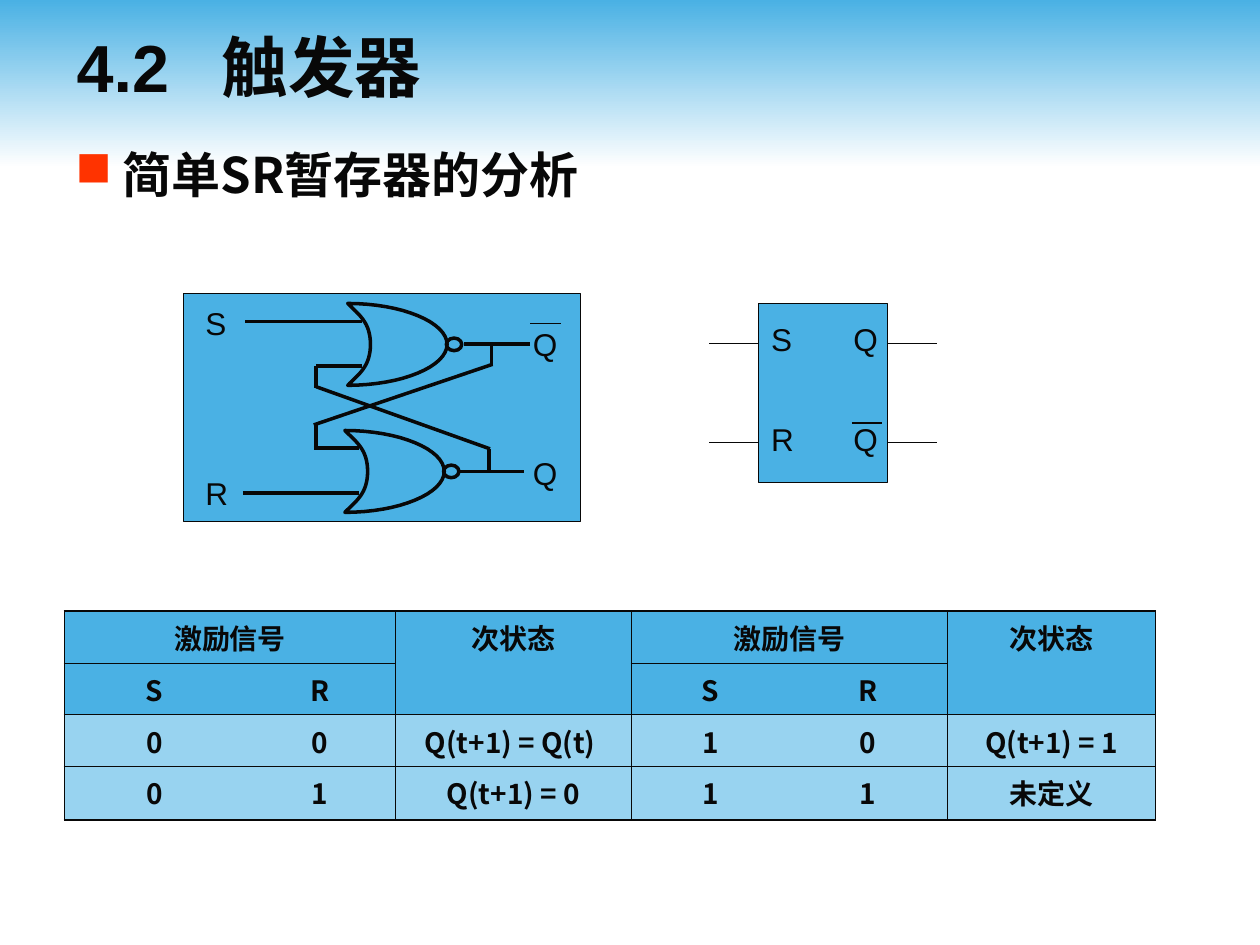
import dataclasses

import pptx
import pptx.dml.color
import pptx.enum.shapes
import pptx.enum.text
import pptx.oxml
import pptx.oxml.ns
import pptx.util
from lxml import etree

Pt = pptx.util.Pt
qn = pptx.oxml.ns.qn
ALIGN = pptx.enum.text.PP_ALIGN
ANCHOR = pptx.enum.text.MSO_ANCHOR
SHAPE = pptx.enum.shapes.MSO_SHAPE
STRAIGHT = pptx.enum.shapes.MSO_CONNECTOR.STRAIGHT


@dataclasses.dataclass(frozen=True)
class Theme:
    ink: str = "080808"
    blue: str = "4AB1E4"
    pale: str = "98D3F0"
    white: str = "FFFFFF"
    bullet: str = "FF3300"
    latin: str = "Arial"
    body_font: str = "Noto Sans CJK JP"
    table_font: str = "Noto Sans CJK SC"
    title_size: float = 38
    body_size: float = 28
    label_size: float = 18
    table_size: float = 16
    thin: float = 0.75
    thick: float = 2
    outer_border: float = 1.08
    inner_border: float = 0.45


def rgb(value):
    return pptx.dml.color.RGBColor.from_string(value)


def write(para, text, *, font, size, color, east_asian=None, bold=False, align=None,
          before=0, spacing=None, bullet=None, indent=0, tab=None):
    """Put one formatted span of text into a paragraph."""
    props = para._p.get_or_add_pPr()
    para.alignment = align
    para.space_before = Pt(before)
    if spacing:
        para.line_spacing = spacing
    if bullet:
        props.set("marL", str(Pt(indent)))
        props.set("indent", str(-Pt(indent)))
        bullet_color = etree.SubElement(props, qn("a:buClr"))
        etree.SubElement(bullet_color, qn("a:srgbClr"), val=bullet)
        etree.SubElement(props, qn("a:buChar"), char="■")
    if tab:
        stops = etree.SubElement(props, qn("a:tabLst"))
        etree.SubElement(stops, qn("a:tab"), pos=str(Pt(tab)), algn="l")
    span = para.add_run()
    span.text = text
    span.font.size, span.font.bold, span.font.name = Pt(size), bold, font
    span.font.color.rgb = rgb(color)
    etree.SubElement(span._r.get_or_add_rPr(), qn("a:ea"), typeface=east_asian or font)


def bezier(start, first, second, end, steps=16):
    """Points along a cubic curve, without its start."""
    for step in range(1, steps + 1):
        t = step / steps
        u = 1 - t
        yield tuple(u**3 * a + 3 * u * u * t * b + 3 * u * t * t * c + t**3 * d
                    for a, b, c, d in zip(start, first, second, end))


class Painter:
    def __init__(self, page, theme):
        self.page, self.theme = page, theme

    def shape(self, kind, left, top, width, height, fill=None, line=None):
        box = self.page.shapes.add_shape(kind, Pt(left), Pt(top), Pt(width), Pt(height))
        return self.finish(box, fill, line)

    def finish(self, box, fill, line):
        box.shadow.inherit = False
        if fill:
            box.fill.solid()
            box.fill.fore_color.rgb = rgb(fill)
        else:
            box.fill.background()
        if line:
            box.line.color.rgb = rgb(self.theme.ink)
            box.line.width = Pt(line)
        else:
            box.line.fill.background()
        return box

    def gradient_band(self, left, top, width, height):
        band = self.shape(SHAPE.RECTANGLE, left, top, width, height, self.theme.blue)
        band.fill.gradient()
        band.fill.gradient_angle = 270
        for stop, color, place in zip(band.fill.gradient_stops,
                                      (self.theme.blue, self.theme.white), (0, 1)):
            stop.color.rgb, stop.position = rgb(color), place

    def line(self, x1, y1, x2, y2, width):
        wire = self.page.shapes.add_connector(STRAIGHT, Pt(x1), Pt(y1), Pt(x2), Pt(y2))
        wire.line.color.rgb = rgb(self.theme.ink)
        wire.line.width = Pt(width)
        etree.SubElement(wire._element.spPr, qn("a:effectLst"))

    def text(self, left, top, width, height, lines, *, margins=(7.2, 3.6),
             anchor=ANCHOR.TOP, gap=0, wrap=True, **style):
        box = self.page.shapes.add_textbox(Pt(left), Pt(top), Pt(width), Pt(height))
        frame = box.text_frame
        frame.word_wrap, frame.vertical_anchor = wrap, anchor
        frame.margin_left = frame.margin_right = Pt(margins[0])
        frame.margin_top = frame.margin_bottom = Pt(margins[1])
        for index, line in enumerate(lines):
            para = frame.add_paragraph() if index else frame.paragraphs[0]
            write(para, line, before=gap if index else 0, color=self.theme.ink, **style)

    def label(self, left, top, text):
        self.text(left, top, 16, 23, [text], margins=(1.44, 0.72), wrap=False,
                  font=self.theme.latin, size=self.theme.label_size)

    def nor_gate(self, left, top):
        """Curved gate outline with its output bubble."""
        curves = [((0, 46.8), (6.5, 40.3), (13, 36), (13, 23.4)),
                  ((13, 23.4), (13, 10.8), (6.5, 6.5), (0, 0)),
                  ((0, 0), (31, 0), (56.8, 10.8), (56.8, 23.4)),
                  ((56.8, 23.4), (56.8, 36), (31, 46.8), (0, 46.8))]
        points = [(Pt(left + x), Pt(top + y)) for curve in curves for x, y in bezier(*curve)]
        outline = self.page.shapes.build_freeform(Pt(left), Pt(top + 46.8))
        outline.add_line_segments(points, close=True)
        self.finish(outline.convert_to_shape(), None, self.theme.thick)
        self.shape(SHAPE.OVAL, left + 56.4, top + 19.8, 8.8, 7.2, line=self.theme.thick)

    def table(self, left, top, columns, heights, rows, merges, group_edges):
        theme = self.theme
        grid = self.page.shapes.add_table(len(rows), len(columns), Pt(left), Pt(top),
                                          Pt(sum(columns)), Pt(sum(heights))).table
        for column, width in zip(grid.columns, columns):
            column.width = Pt(width)
        for row, height in zip(grid.rows, heights):
            row.height = Pt(height)
        for first, last in merges:
            grid.cell(*first).merge(grid.cell(*last))
        for r, texts in enumerate(rows):
            for c, text in enumerate(texts):
                cell = grid.cell(r, c)
                if text:
                    write(cell.text_frame.paragraphs[0], text, font=theme.table_font,
                          size=theme.table_size, color=theme.ink, bold=True, align=ALIGN.CENTER)
                inside = cell.is_spanned and r > 0
                across = {0: theme.outer_border, len(rows): theme.outer_border}
                self.cell_borders(cell, {
                    "lnL": group_edges.get(c), "lnR": group_edges.get(c + 1),
                    "lnT": None if inside else across.get(r, theme.inner_border),
                    "lnB": across.get(r + 1, theme.inner_border)})
                cell.fill.solid()
                cell.fill.fore_color.rgb = rgb(theme.blue if r < 2 else theme.pale)

    def cell_borders(self, cell, widths):
        props = cell._tc.get_or_add_tcPr()
        for side, width in widths.items():
            edge = etree.SubElement(props, qn("a:" + side), w=str(Pt(width or 0)))
            paint = etree.SubElement(edge, qn("a:solidFill" if width else "a:noFill"))
            if width:
                etree.SubElement(paint, qn("a:srgbClr"), val=self.theme.ink)


def main():
    deck = pptx.Presentation()
    deck.slide_width, deck.slide_height = Pt(720), Pt(540)
    theme = Theme()
    paint = Painter(deck.slides.add_slide(deck.slide_layouts[6]), theme)

    # Heading band, title and bullet
    paint.gradient_band(0, 0, 720, 95.8)
    paint.text(36.7, 3.6, 648, 68.4, ["4.2\t触发器"], anchor=ANCHOR.MIDDLE, font=theme.latin,
               east_asian=theme.table_font, size=theme.title_size, bold=True, tab=83)
    paint.text(36, 82.8, 653, 415.4, ["简单SR暂存器的分析"], font=theme.body_font,
               size=theme.body_size, bold=True, spacing=0.9, bullet=theme.bullet, indent=27)

    # Latch symbol
    paint.shape(SHAPE.RECTANGLE, 433.6, 173.4, 73.6, 102.4, theme.blue, theme.thin)
    for y in (196.4, 252.8):
        for x in (405.4, 507.4):
            paint.line(x, y, x + 28.2, y, theme.thin)
    paint.text(433.6, 179.4, 79, 85.7, ["S\tQ", "R\tQ"], gap=35.5, tab=47,
               font=theme.latin, size=theme.label_size)
    paint.line(486.8, 241.7, 504, 241.7, theme.thin)

    # Latch circuit: frame, labels, gates, wires
    paint.shape(SHAPE.RECTANGLE, 104.9, 167.7, 226.8, 130.5, theme.blue, theme.thin)
    for left, top, name in ((116, 173, "S"), (116, 270, "R"),
                            (303.1, 258.5, "Q"), (303.1, 185, "Q")):
        paint.label(left, top, name)
    paint.line(303.1, 185, 320.4, 185, theme.thin)
    paint.nor_gate(198.7, 173.4)
    paint.nor_gate(197.1, 246)
    for wire in ((265, 196.6, 303.1, 196.6), (261.4, 269.4, 299.5, 269.4),  # outputs
                 (140.2, 183.6, 206.6, 183.6), (138.8, 281.7, 205.2, 281.7),  # inputs
                 (180.7, 209.3, 206.6, 209.3), (179.3, 256.1, 205.2, 256.1),  # feedback
                 (180.7, 209.3, 180.7, 221.8), (180.7, 242.6, 180.7, 256.1),
                 (280.8, 196.6, 280.8, 209.3), (279.5, 256.7, 279.5, 269.4),
                 (281.5, 208.2, 179.3, 242.8), (180.7, 221, 280, 256.5)):  # crossing
        paint.line(*wire, theme.thick)

    # Next-state table
    outer, inner = theme.outer_border, theme.inner_border
    paint.table(36.9, 349.3, (102.6, 86.4, 135, 90, 90.5, 119), (29.5, 29.5, 29.5, 30.9),
                [("激励信号", "", "次状态", "激励信号", "", "次状态"),
                 ("S", "R", "", "S", "R", ""),
                 ("0", "0", "Q(t+1) = Q(t) ", "1", "0", "Q(t+1) = 1"),
                 ("0", "1", "Q(t+1) = 0", "1", "1", "未定义")],
                merges=[((0, 0), (0, 1)), ((0, 2), (1, 2)), ((0, 3), (0, 4)), ((0, 5), (1, 5))],
                group_edges={0: outer, 2: inner, 3: outer, 5: inner, 6: outer})

    deck.save("out.pptx")


if __name__ == "__main__":
    main()
